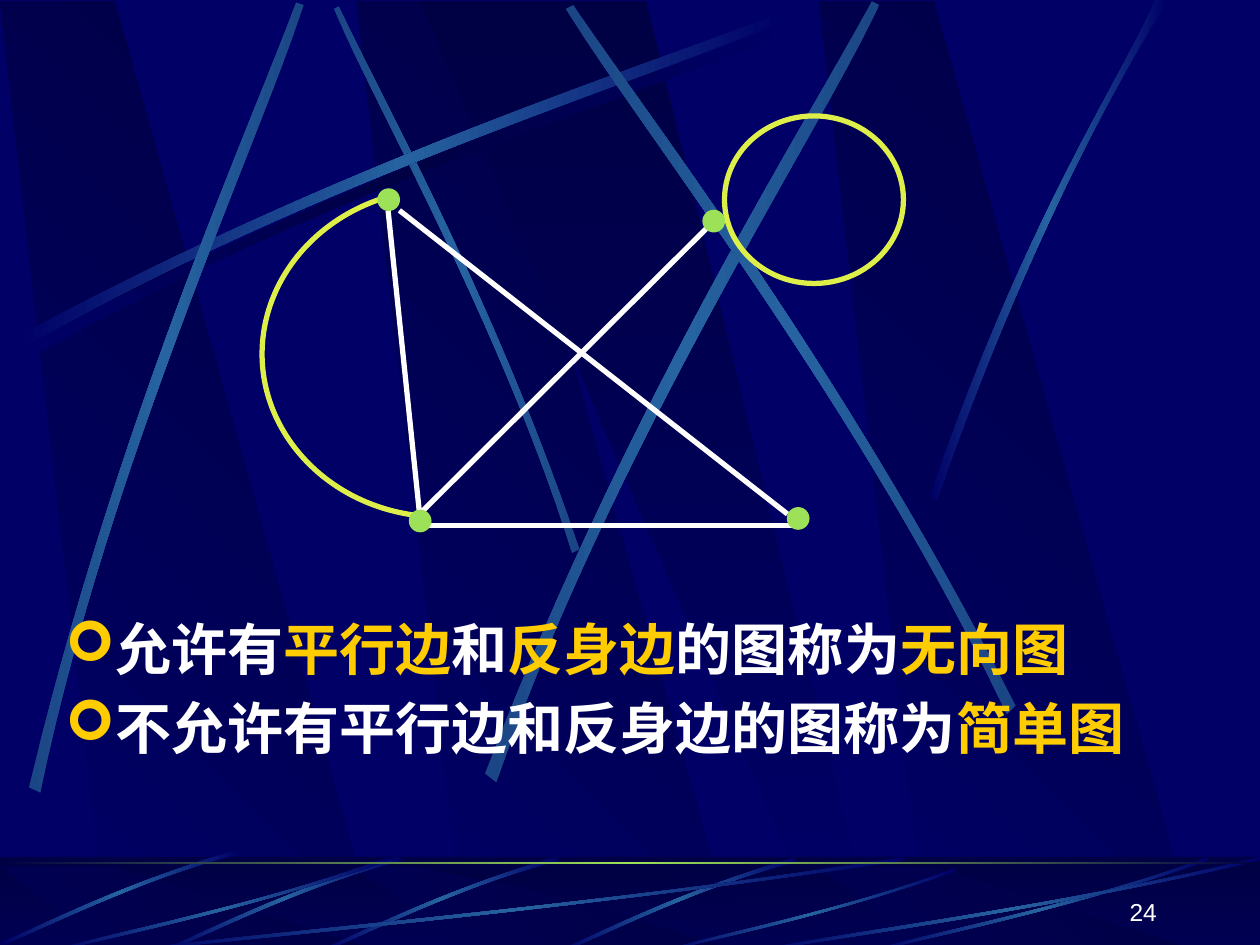
from lxml.etree import SubElement
from pptx import Presentation
from pptx.dml.color import RGBColor
from pptx.enum.shapes import MSO_CONNECTOR, MSO_SHAPE
from pptx.enum.text import MSO_ANCHOR, PP_ALIGN
from pptx.oxml.ns import qn
from pptx.util import Inches, Pt

NAVY = RGBColor(0x00, 0x00, 0x66)
DARK = RGBColor(0x00, 0x00, 0x44)
BEAM = RGBColor(0x26, 0x63, 0xA0)
BEAM_EDGE = RGBColor(0x1B, 0x46, 0x86)
GREEN = RGBColor(0x9C, 0xE1, 0x57)
YELLOW = RGBColor(0xDF, 0xEF, 0x49)
GOLD = RGBColor(0xFF, 0xCC, 0x00)
WHITE = RGBColor(0xFF, 0xFF, 0xFF)

BODY_FONT = "Noto Sans CJK SC"
FADE = (NAVY, BEAM, NAVY)
BRIGHT = (BEAM_EDGE, BEAM, BEAM_EDGE)
SHADE = (NAVY, DARK, NAVY)

# Each beam: start, two controls, end; then the returning edge likewise.
RISING_BEAM = [(0.14, 2.67), (2.78, 1.25), (5.18, 0.51), (6.2, 0.1),
               (6.23, 0.16), (5.22, 0.61), (2.48, 1.43), (0.17, 2.77)]
STEEP_BEAMS = [
    ([(4.6, 4.36), (3.91, 2.34), (3.02, 0.77), (2.69, 0.05),
      (2.65, 0.07), (2.95, 0.79), (3.98, 2.58), (4.54, 4.39)], BRIGHT),
    (RISING_BEAM, FADE),
    ([(0.23, 6.25), (0.93, 3.34), (1.97, 1.05), (2.35, 0.02),
      (2.41, 0.04), (2.07, 1.09), (0.86, 3.68), (0.32, 6.29)], BRIGHT),
    ([(3.85, 6.14), (4.98, 3.2), (6.38, 1.02), (6.92, 0.01),
      (6.98, 0.04), (6.49, 1.08), (4.86, 3.55), (3.94, 6.21)], BRIGHT),
    ([(8.06, 5.6), (6.7, 2.93), (5.16, 0.95), (4.55, 0.04),
      (4.49, 0.07), (5.07, 1.01), (6.85, 3.25), (7.99, 5.67)], BRIGHT),
    ([(7.38, 3.94), (8.14, 1.73), (8.88, 0.66), (9.17, 0),
      (9.27, 0), (8.36, 1.45), (7.69, 3.22), (7.44, 3.97)], FADE),
]
SHORT_BEAM = [(4.42, 6.8), (3.55, 7.05), (2.87, 7.4), (2.56, 7.53),
              (2.57, 7.55), (2.88, 7.43), (3.65, 7.03), (4.44, 6.83)]
SHORT_SHIFTS = [(1.88, 0.01), (0, 0), (-1.25, 0), (-2.55, -0.05)]
# Fractions of the box that a footer beam spans.
UNIT_BEAM = [(1, 0.04), (0.57, 0.57), (0.17, 0.85), (0.01, 1),
             (0, 0.99), (0.16, 0.81), (0.62, 0.51), (1, 0)]
FOOTER_BEAMS = [(1, 6.8, 6.17), (0.42, 6.8, 2.67), (5.27, 6.89, 2.31),
                (6.92, 6.8, 2.67), (6, 6.8, 4)]
FOOTER_BOX = (0, 6.8, 10, 0.75)

PARALLEL_EDGE = [(3.02, 1.58), (2.46, 1.77), (2.08, 2.26), (2.08, 2.81),
                 (2.08, 3.45), (2.6, 4), (3.3, 4.09)]
EDGES = [((3.08, 1.67), (3.33, 4.08)), ((6.33, 4.17), (3.33, 4.17)),
         ((3.17, 1.67), (6.25, 4.08)), ((5.67, 1.75), (3.33, 4.08))]
VERTICES = [(3, 1.5), (3.25, 4.05), (5.58, 1.67), (6.25, 4.03)]

STATEMENTS = [
    [("允许有", WHITE), ("平行边", GOLD), ("和", WHITE), ("反身边", GOLD),
     ("的图称为", WHITE), ("无向图", GOLD)],
    [("不允许有平行边和反身边的图称为", WHITE), ("简单图", GOLD)],
]


def shifted(points, dx, dy):
    return [(x + dx, y + dy) for x, y in points]


def paint_gradient(shape, colors, angle):
    """Evenly spaced stops; the angle runs clockwise."""
    shape.fill.gradient()
    shape.fill.gradient_angle = (360 - angle) % 360
    stops = shape._element.spPr.find(".//" + qn("a:gsLst"))
    stops.clear()
    for i, color in enumerate(colors):
        stop = SubElement(stops, qn("a:gs"), pos=str(i * 100000 // (len(colors) - 1)))
        SubElement(stop, qn("a:srgbClr"), val=str(color))


def add_outline(slide, points, close=True):
    builder = slide.shapes.build_freeform(
        Inches(points[0][0]), Inches(points[0][1]))
    builder.add_line_segments([(Inches(x), Inches(y)) for x, y in points[1:]], close)
    outline = builder.convert_to_shape()
    outline.shadow.inherit = False
    outline.line.fill.background()
    return outline


def bend(outline, segments):
    """Turn three straight segments into one Bezier for each C; L stays straight."""
    straights = iter(outline._element.spPr.findall(".//" + qn("a:lnTo")))
    for segment in segments:
        first = next(straights)
        if segment == "C":
            first.tag = qn("a:cubicBezTo")
            for _ in range(2):
                extra = next(straights)
                first.append(extra[0])
                extra.getparent().remove(extra)


def add_preset(slide, preset, box):
    shape = slide.shapes.add_shape(preset, *map(Inches, box))
    shape.shadow.inherit = False
    shape.line.fill.background()
    return shape


def add_beam(slide, points, colors):
    beam = add_outline(slide, points)
    bend(beam, "CLC")
    paint_gradient(beam, colors, 0)


def add_pillars(slide, top, bottom):
    for left in (2.83, 0, 6.5):
        pillar = add_outline(slide, [(left + 0.86, bottom), (left + 3.02, bottom),
                                     (left + 0.91, top), (left, top)])
        paint_gradient(pillar, (NAVY, DARK), 315)
    wedge = add_outline(slide, [(3.33, top), (6.58, bottom),
                                (6.94, bottom), (5.13, top)])
    paint_gradient(wedge, (DARK, NAVY), 90)


def add_backdrop(slide):
    slide.background.fill.solid()
    slide.background.fill.fore_color.rgb = NAVY
    add_pillars(slide, 0.01, 7.52)
    add_beam(slide, shifted(RISING_BEAM, 0.06, 0.08), SHADE)
    for points, colors in STEEP_BEAMS:
        add_beam(slide, points, colors)


def add_footer(slide):
    band = add_preset(slide, MSO_SHAPE.RECTANGLE, FOOTER_BOX)
    paint_gradient(band, (DARK, NAVY), 90)
    add_pillars(slide, 6.88, 7.55)
    veil = add_preset(slide, MSO_SHAPE.RECTANGLE, FOOTER_BOX)
    veil.fill.solid()
    veil.fill.fore_color.rgb = DARK
    color = veil._element.spPr.find(".//" + qn("a:srgbClr"))
    SubElement(color, qn("a:alpha"), val="50000")
    for dx, dy in SHORT_SHIFTS:
        add_beam(slide, shifted(SHORT_BEAM, dx, dy), FADE)
    for left, top, width in FOOTER_BEAMS:
        add_beam(slide, [(left + x * width, top + y * (7.55 - top))
                         for x, y in UNIT_BEAM], FADE)
    rule = add_preset(slide, MSO_SHAPE.RECTANGLE, (0, 6.84, 10, 0.02))
    paint_gradient(rule, (DARK, GREEN, DARK), 0)


def stroke(shape, color, width):
    shape.line.color.rgb = color
    shape.line.width = Pt(width)


def add_graph(slide):
    parallel_edge = add_outline(slide, PARALLEL_EDGE, close=False)
    bend(parallel_edge, "CC")
    self_loop = add_preset(slide, MSO_SHAPE.OVAL, (5.75, 0.92, 1.42, 1.33))
    for bent_edge in (parallel_edge, self_loop):
        bent_edge.fill.background()
        stroke(bent_edge, YELLOW, 3)
    for start, end in EDGES:
        edge = slide.shapes.add_connector(
            MSO_CONNECTOR.STRAIGHT, *map(Inches, start + end))
        stroke(edge, WHITE, 3)
        SubElement(edge._element.spPr, qn("a:effectLst"))
    for left, top in VERTICES:
        vertex = add_preset(slide, MSO_SHAPE.OVAL, (left, top, 0.17, 0.17))
        vertex.fill.solid()
        vertex.fill.fore_color.rgb = GREEN
        stroke(vertex, GREEN, 0.75)


def add_bullet(paragraph):
    properties = paragraph._p.get_or_add_pPr()
    properties.set("marL", str(Inches(0.38)))
    properties.set("indent", str(-Inches(0.38)))
    color = SubElement(properties, qn("a:buClr"))
    SubElement(color, qn("a:srgbClr"), val=str(GOLD))
    SubElement(properties, qn("a:buFont"), typeface="Wingdings", charset="2")
    SubElement(properties, qn("a:buChar"), char="➢")


def add_statements(slide):
    box = slide.shapes.add_textbox(*map(Inches, (0.42, 4.83, 9.58, 1.25)))
    frame = box.text_frame
    frame.word_wrap = True
    for i, parts in enumerate(STATEMENTS):
        paragraph = frame.add_paragraph() if i else frame.paragraphs[0]
        add_bullet(paragraph)
        paragraph.space_before = Pt(6.4 if i else 0)
        for words, color in parts:
            run = paragraph.add_run()
            run.text = words
            run.font.size = Pt(32)
            run.font.bold = True
            run.font.color.rgb = color
            run.font.name = BODY_FONT
            SubElement(run._r.get_or_add_rPr(), qn("a:ea"), typeface=BODY_FONT)


def add_page_number(slide):
    box = slide.shapes.add_textbox(*map(Inches, (7.2, 6.9, 2.08, 0.5)))
    frame = box.text_frame
    frame.word_wrap = True
    frame.vertical_anchor = MSO_ANCHOR.BOTTOM
    frame.text = "24"
    number = frame.paragraphs[0]
    number.alignment = PP_ALIGN.RIGHT
    number.font.size = Pt(14)
    number.font.name = "Arial"
    number.font.color.rgb = WHITE


def main():
    presentation = Presentation()
    presentation.slide_width = Inches(10)
    presentation.slide_height = Inches(7.5)
    slide = presentation.slides.add_slide(presentation.slide_layouts[6])
    add_backdrop(slide)
    add_footer(slide)
    add_graph(slide)
    add_statements(slide)
    add_page_number(slide)
    presentation.save("out.pptx")


if __name__ == "__main__":
    main()
